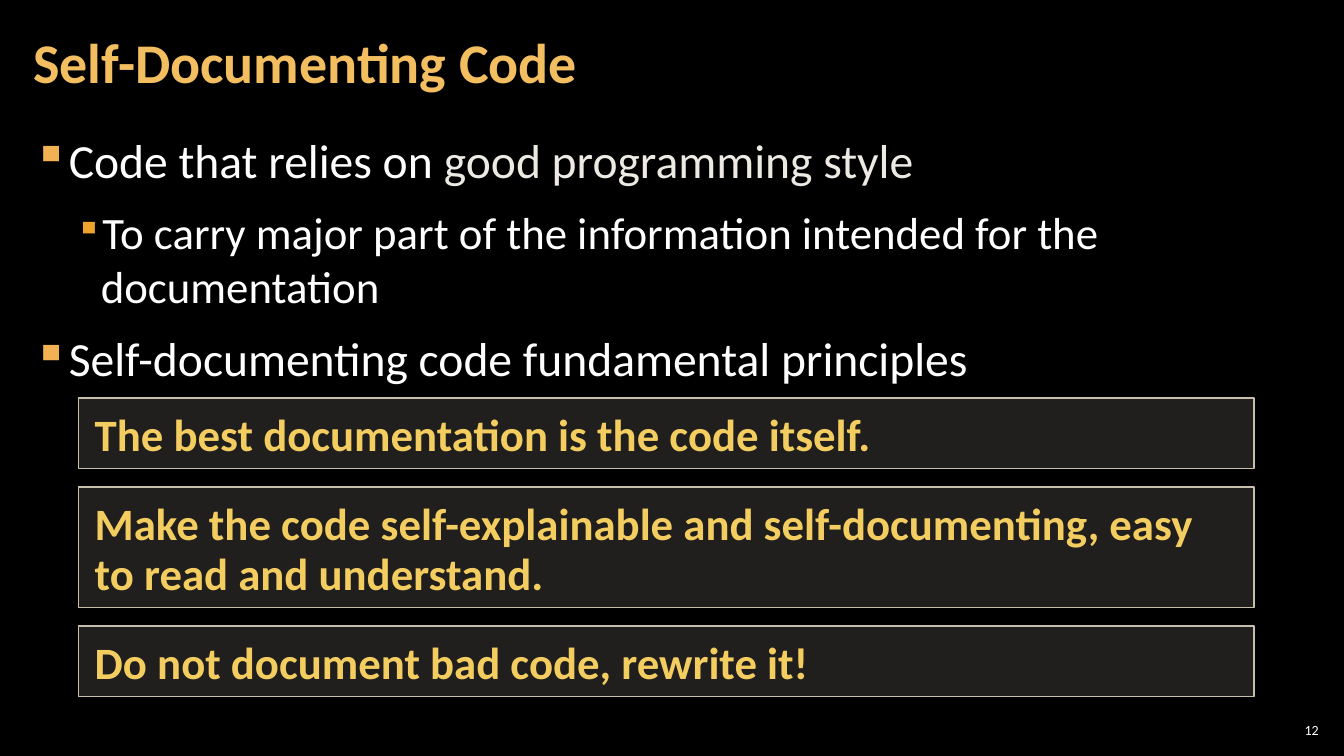
from lxml.etree import SubElement
from pptx import Presentation
from pptx.dml.color import RGBColor
from pptx.enum.shapes import MSO_SHAPE
from pptx.enum.text import MSO_ANCHOR, MSO_AUTO_SIZE, PP_ALIGN
from pptx.oxml.ns import qn
from pptx.util import Inches, Pt

TITLE = "Self-Documenting Code"
PAGE_NUMBER = "12"
BULLETS = [
    (0, [("Code that relies on ", "FFFFFF"), ("good programming style", "ECEAE3")]),
    (1, [("To carry major part of the information intended for the documentation", "FFFFFF")]),
    (0, [("Self-documenting code fundamental principles", "FFFFFF")]),
]
LEVELS = [
    {"size": 34, "margin": 0.33, "hang": 0.33, "color": "F2B254", "percent": 100},
    {"size": 32, "margin": 0.67, "hang": 0.25, "color": "F0A22E", "percent": 80},
]
PRINCIPLES = [
    ("The best documentation is the code itself.", 0.7),
    ("Make the code self-explainable and self-documenting, easy to read and understand.", 1.2),
    ("Do not document bad code, rewrite it!", 0.7),
]
BOX_LEFT, BOX_TOP, BOX_WIDTH, BOX_GAP = 0.78, 3.95, 11.66, 0.18


def rgb(color):
    return RGBColor.from_string(color)


def format_run(run, size, color, bold=False):
    run.font.name = "Calibri"
    run.font.size = Pt(size)
    run.font.bold = bold
    run.font.color.rgb = rgb(color)


def set_frame(frame, left, top, right, bottom, anchor=MSO_ANCHOR.TOP):
    frame.word_wrap = True
    frame.auto_size = MSO_AUTO_SIZE.NONE
    frame.vertical_anchor = anchor
    frame.margin_left, frame.margin_top = Inches(left), Inches(top)
    frame.margin_right, frame.margin_bottom = Inches(right), Inches(bottom)


def add_bullet(paragraph, level):
    properties = paragraph._p.get_or_add_pPr()
    properties.set("marL", str(Inches(level["margin"])))
    properties.set("indent", str(-Inches(level["hang"])))
    bullet_color = SubElement(properties, qn("a:buClr"))
    SubElement(bullet_color, qn("a:srgbClr"), val=level["color"])
    SubElement(properties, qn("a:buSzPct"), val=str(level["percent"] * 1000))
    SubElement(properties, qn("a:buChar"), char="▪")


def add_title(slide):
    title = slide.shapes.title
    title.left, title.top = Inches(0.21), Inches(0.04)
    title.width, title.height = Inches(10.47), Inches(1.21)
    set_frame(title.text_frame, 0.12, 0.04, 0.12, 0.04, MSO_ANCHOR.MIDDLE)
    title.text_frame.text = TITLE
    paragraph = title.text_frame.paragraphs[0]
    paragraph.alignment = PP_ALIGN.LEFT
    paragraph.line_spacing = 0.9
    format_run(paragraph.runs[0], 40, "F3BE60", True)


def add_body(slide):
    body = slide.shapes.add_textbox(Inches(0.21), Inches(1.26), Inches(12.91), Inches(6.09))
    frame = body.text_frame
    set_frame(frame, 0.12, 0.04, 0.12, 0.04)
    for index, (depth, pieces) in enumerate(BULLETS):
        paragraph = frame.add_paragraph() if index else frame.paragraphs[0]
        paragraph.level = depth
        paragraph.space_before = paragraph.space_after = Pt(6)
        add_bullet(paragraph, LEVELS[depth])
        for text, color in pieces:
            run = paragraph.add_run()
            run.text = text
            format_run(run, LEVELS[depth]["size"], color)


def add_principle(slide, text, top, height):
    box = slide.shapes.add_shape(
        MSO_SHAPE.RECTANGLE, Inches(BOX_LEFT), Inches(top), Inches(BOX_WIDTH), Inches(height)
    )
    box.shadow.inherit = False
    box.fill.solid()
    box.fill.fore_color.rgb = rgb("D9D5C7")
    fill_color = box._element.spPr.find(qn("a:solidFill")).find(qn("a:srgbClr"))
    SubElement(fill_color, qn("a:alpha"), val="15000")
    box.line.color.rgb = rgb("C7BFAC")
    box.line.width = Pt(1)
    set_frame(box.text_frame, 0.16, 0.12, 0.16, 0.08)
    box.text_frame.text = text
    paragraph = box.text_frame.paragraphs[0]
    paragraph.alignment = PP_ALIGN.LEFT
    paragraph.line_spacing = Pt(36)
    format_run(paragraph.runs[0], 32, "F3CD60", True)


def add_page_number(slide):
    number = slide.shapes.add_textbox(Inches(12.65), Inches(7.14), Inches(0.47), Inches(0.21))
    set_frame(number.text_frame, 0.04, 0.04, 0.04, 0.04, MSO_ANCHOR.MIDDLE)
    number.text_frame.text = PAGE_NUMBER
    paragraph = number.text_frame.paragraphs[0]
    paragraph.alignment = PP_ALIGN.RIGHT
    format_run(paragraph.runs[0], 10, "FFFFFF")


def main():
    presentation = Presentation()
    presentation.slide_width, presentation.slide_height = Inches(13.33), Inches(7.5)
    slide = presentation.slides.add_slide(presentation.slide_layouts[5])
    slide.background.fill.solid()
    slide.background.fill.fore_color.rgb = rgb("000000")
    add_title(slide)
    add_body(slide)
    top = BOX_TOP
    for text, height in PRINCIPLES:
        add_principle(slide, text, top, height)
        top += height + BOX_GAP
    add_page_number(slide)
    presentation.save("out.pptx")


if __name__ == "__main__":
    main()
